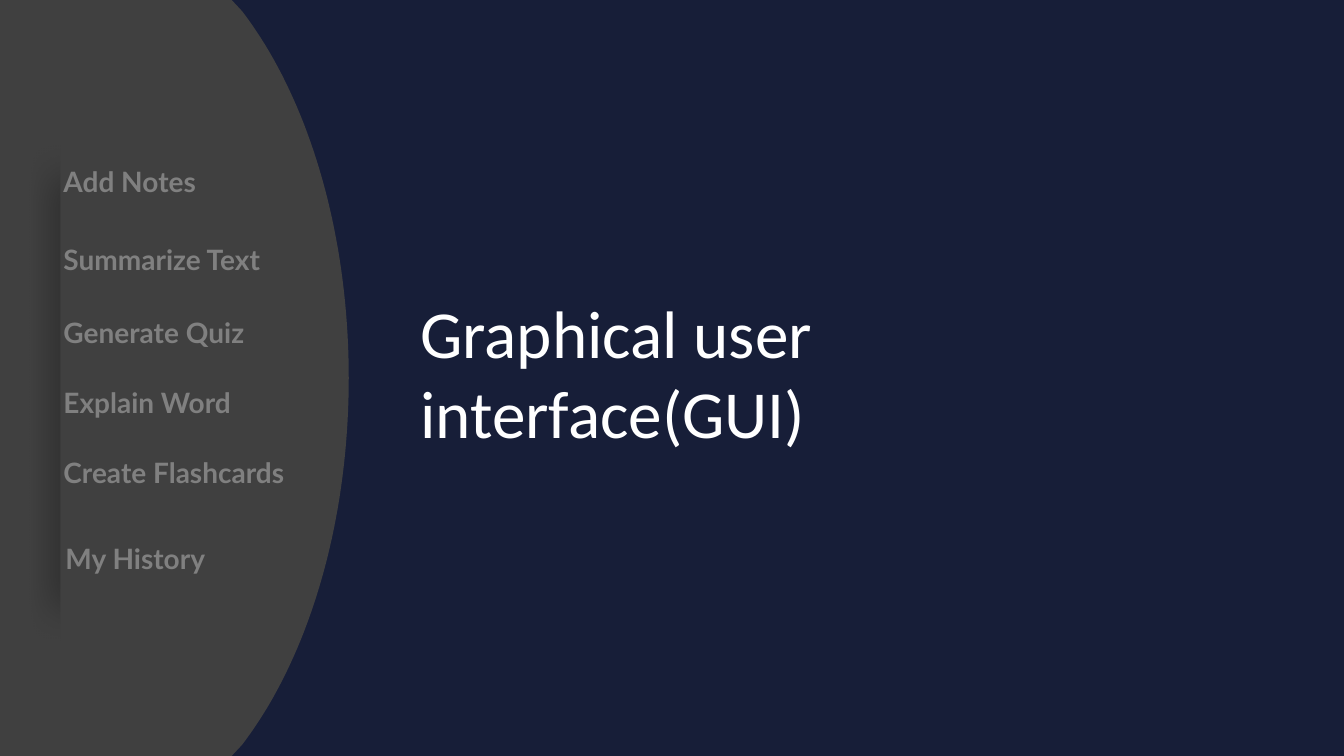
import pptx
import pptx.util
import pptx.dml.color
import pptx.enum.shapes
import pptx.enum.text
import pptx.oxml
import pptx.oxml.ns
from dataclasses import dataclass

Cm = pptx.util.Cm
SHAPE = pptx.enum.shapes.MSO_SHAPE
WIDTH, HEIGHT = 33.87, 19.05


@dataclass(frozen=True)
class Theme:
    navy: str = "171E38"
    panel: str = "404040"
    shade: str = "000000"
    menu: str = "808080"
    title: str = "FFFFFF"
    title_font: str = "Calibri"
    menu_font: str = "Lato"
    title_size: int = 48
    menu_size: int = 20


THEME = Theme()
MENU = [
    ("Add Notes", 1.35, 4.01),
    ("Summarize Text", 1.35, 5.99),
    ("Generate Quiz", 1.35, 7.82),
    ("Explain Word", 1.35, 9.6),
    ("Create Flashcards", 1.35, 11.35),
    ("My History", 1.4, 13.51),
]


def rgb(color):
    return pptx.dml.color.RGBColor.from_string(color)


def paint(sp, color):
    sp.shadow.inherit = False
    sp.fill.solid()
    sp.fill.fore_color.rgb = rgb(color)
    sp.line.fill.background()


def add_block(s, kind, box, color):
    sp = s.shapes.add_shape(kind, *map(Cm, box))
    paint(sp, color)
    return sp


def soften(sp, radius):
    effects = sp._element.spPr.find(pptx.oxml.ns.qn("a:effectLst"))
    effects.append(pptx.oxml.parse_xml(
        f'<a:softEdge {pptx.oxml.ns.nsdecls("a")} rad="{int(radius)}"/>'))


def write(sp, text, font, size, color, bold=False):
    tf = sp.text_frame
    tf.word_wrap = True
    tf.auto_size = pptx.enum.text.MSO_AUTO_SIZE.SHAPE_TO_FIT_TEXT
    tf.vertical_anchor = pptx.enum.text.MSO_ANCHOR.TOP
    p = tf.paragraphs[0]
    p.text = text
    p.alignment = pptx.enum.text.PP_ALIGN.LEFT
    p.font.name = font
    p.font.size = pptx.util.Pt(size)
    p.font.bold = bold
    p.font.color.rgb = rgb(color)


def bezier(points, t):
    weights = ((1 - t) ** 3, 3 * t * (1 - t) ** 2, 3 * t * t * (1 - t), t ** 3)
    return tuple(sum(w * v for w, v in zip(weights, axis)) for axis in zip(*points))


def add_panel(s, x, y, w, h):
    control = [(w - 2.69, 0.28), (w - 1.07, 2.39), (w, 5.74), (w, h / 2)]
    upper = [(w - 2.95, 0)] + [bezier(control, i / 40) for i in range(41)]
    lower = [(px, h - py) for px, py in reversed(upper[:-1])]
    outline = [(Cm(x + px), Cm(y + py)) for px, py in upper + lower + [(0, h)]]
    fb = s.shapes.build_freeform(Cm(x), Cm(y))
    fb.add_line_segments(outline, close=True)
    paint(fb.convert_to_shape(), THEME.panel)


def add_menu(s, x, y, w, h):
    add_panel(s, x, y, w, h)
    shade = add_block(s, SHAPE.ROUNDED_RECTANGLE, (x + 0.71, y + 2.9, 1.96, 13.94), THEME.shade)
    shade.adjustments[0] = 0.5
    soften(shade, pptx.util.Pt(25))
    add_block(s, SHAPE.RECTANGLE, (x + 1.52, y + 1.83, 5.18, 16.05), THEME.panel)
    for text, left, top in MENU:
        label = s.shapes.add_textbox(Cm(x + left), Cm(y + top), Cm(7.14), Cm(1.11))
        write(label, text, THEME.menu_font, THEME.menu_size, THEME.menu, True)


def add_title(s, x, y, w, h):
    title = s.shapes.title
    title.left, title.top, title.width, title.height = map(Cm, (x, y, w, h))
    write(title, "Graphical user interface(GUI)",
          THEME.title_font, THEME.title_size, THEME.title)
    s.shapes._spTree.append(title._element)


def add_gui_slide(prs):
    s = prs.slides.add_slide(prs.slide_layouts[5])
    add_block(s, SHAPE.RECTANGLE, (0, -0.23, WIDTH, 19.48), THEME.navy)
    add_menu(s, 0, 0, 8.79, HEIGHT)
    add_title(s, 10.34, 7.21, 16.56, 4.37)


def main():
    prs = pptx.Presentation()
    prs.slide_width, prs.slide_height = Cm(WIDTH), Cm(HEIGHT)
    add_gui_slide(prs)
    prs.save("out.pptx")


if __name__ == "__main__":
    main()
